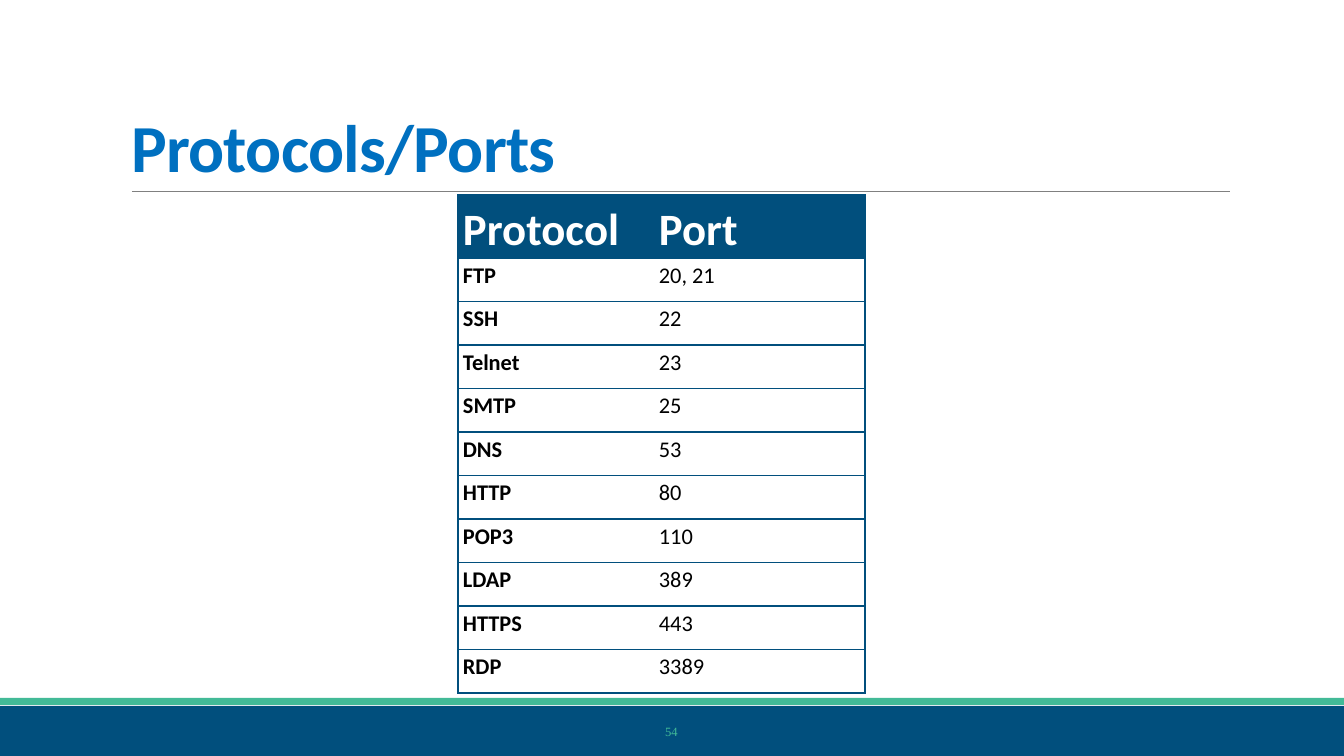
from lxml.etree import SubElement
from pptx import Presentation
from pptx.dml.color import RGBColor
from pptx.enum.shapes import MSO_CONNECTOR, MSO_SHAPE
from pptx.enum.text import MSO_ANCHOR, MSO_AUTO_SIZE, PP_ALIGN
from pptx.oxml.ns import qn
from pptx.util import Pt

NAVY, GREEN, BLUE, GRAY = "014F7D", "42BA97", "0070C0", "808080"
WHITE, BLACK = "FFFFFF", "000000"
PORTS = [
    ("Protocol", "Port"),
    ("FTP", "20, 21"),
    ("SSH", "22"),
    ("Telnet", "23"),
    ("SMTP", "25"),
    ("DNS", "53"),
    ("HTTP", "80"),
    ("POP3", "110"),
    ("LDAP", "389"),
    ("HTTPS", "443"),
    ("RDP", "3389"),
]


def px(n):
    return round(n * 914400 / 100.8)


def rgb(color):
    return RGBColor.from_string(color)


def set_font(p, size, color, bold=False, name="Calibri"):
    f = p.font
    f.name, f.size, f.bold = name, Pt(size), bold
    f.color.rgb = rgb(color)


def add_bar(s, y, h, color):
    bar = s.shapes.add_shape(MSO_SHAPE.RECTANGLE, 0, px(y), px(1344), px(h))
    bar.shadow.inherit = False
    bar.fill.solid()
    bar.fill.fore_color.rgb = rgb(color)
    bar.line.fill.background()


def add_rule(s, x1, x2, y):
    rule = s.shapes.add_connector(MSO_CONNECTOR.STRAIGHT, px(x1), px(y), px(x2), px(y))
    rule.line.color.rgb = rgb(GRAY)
    rule.line.width = Pt(0.5)
    SubElement(rule._element.spPr, qn("a:effectLst"))


def set_title(s, text):
    title = s.shapes.title
    title.left, title.top, title.width, title.height = px(121), px(31), px(1109), px(160)
    tf = title.text_frame
    tf.text = text
    tf.auto_size = MSO_AUTO_SIZE.NONE
    tf.vertical_anchor = MSO_ANCHOR.BOTTOM
    p = tf.paragraphs[0]
    p.alignment = PP_ALIGN.LEFT
    p.line_spacing = 0.85
    set_font(p, 48, BLUE, bold=True)
    p.runs[0].font._element.set("spc", "-50")


def set_borders(cell, hidden):
    tcPr = cell._tc.get_or_add_tcPr()
    for side in ("lnL", "lnR", "lnT", "lnB"):
        ln = SubElement(tcPr, qn(f"a:{side}"), w=str(Pt(1)))
        if side == hidden:
            SubElement(ln, qn("a:noFill"))
        else:
            fill = SubElement(ln, qn("a:solidFill"))
            SubElement(fill, qn("a:srgbClr"), val=NAVY)


def fill_cell(cell, text, header, first):
    cell.margin_left = cell.margin_right = px(5)
    cell.margin_top = cell.margin_bottom = 0
    # No line between the two columns
    set_borders(cell, hidden="lnR" if first else "lnL")
    if header:
        cell.fill.solid()
        cell.fill.fore_color.rgb = rgb(NAVY)
    else:
        cell.fill.background()
    cell.text = text
    p = cell.text_frame.paragraphs[0]
    p.line_spacing = 1.15
    set_font(p, 32 if header else 16, WHITE if header else BLACK, bold=header or first)


def add_port_table(s):
    header_h, body_h = px(63), px(435)
    frame = s.shapes.add_table(len(PORTS), 2, px(458), px(195), px(407), header_h + body_h)
    table = frame.table
    table.horz_banding = False
    table.columns[0].width, table.columns[1].width = px(196), px(211)
    for i, row in enumerate(PORTS):
        table.rows[i].height = header_h if i == 0 else body_h // (len(PORTS) - 1)
        for j, text in enumerate(row):
            fill_cell(table.cell(i, j), text, header=i == 0, first=j == 0)


def add_page_number(s, number):
    tf = s.shapes.add_textbox(px(406), px(712), px(531), px(40)).text_frame
    tf.word_wrap = True
    tf.vertical_anchor = MSO_ANCHOR.MIDDLE
    tf.text = number
    p = tf.paragraphs[0]
    p.alignment = PP_ALIGN.CENTER
    set_font(p, 9, GREEN, name="Times New Roman")


def main():
    prs = Presentation()
    prs.slide_width, prs.slide_height = px(1344), px(756)
    s = prs.slides.add_slide(prs.slide_layouts[5])

    # Footer bars and the rule under the title
    add_bar(s, 706, 50, NAVY)
    add_bar(s, 698, 7, GREEN)
    add_rule(s, 132, 1230, 191)

    # Content
    set_title(s, "Protocols/Ports")
    add_port_table(s)
    add_page_number(s, "54")

    prs.save("out.pptx")


if __name__ == "__main__":
    main()
